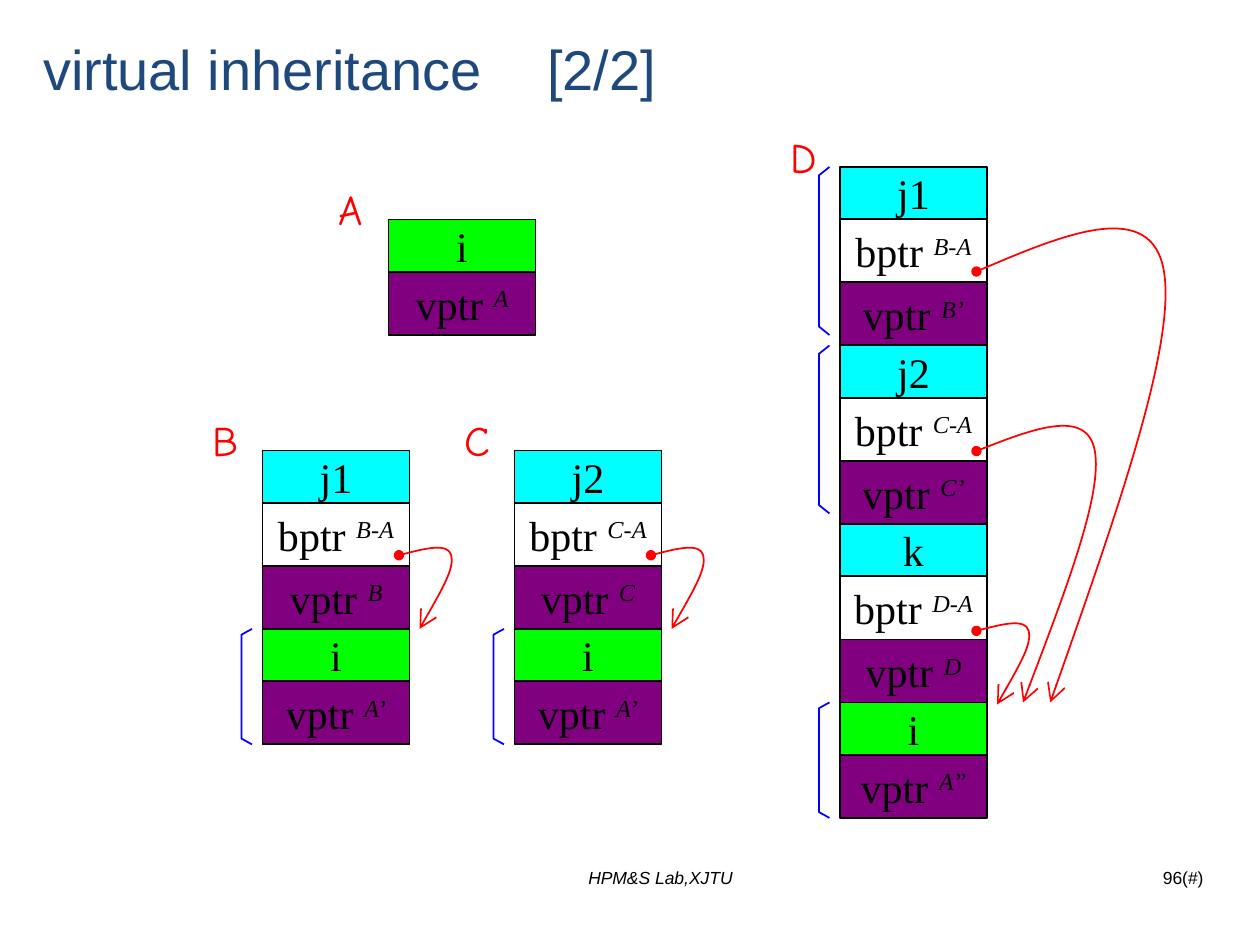
from lxml.etree import SubElement
from pptx import Presentation
from pptx.dml.color import RGBColor
from pptx.enum.shapes import MSO_SHAPE
from pptx.enum.text import MSO_ANCHOR as ANCHOR, MSO_AUTO_SIZE as FIT, PP_ALIGN as ALIGN
from pptx.oxml.ns import qn
from pptx.util import Inches, Pt

BLACK = RGBColor(0, 0, 0)
WHITE = RGBColor(255, 255, 255)
NAVY = RGBColor(0x1F, 0x49, 0x7D)
RED = RGBColor(255, 0, 0)
BLUE = RGBColor(0, 0, 255)
GREEN = RGBColor(0, 255, 0)
CYAN = RGBColor(0, 255, 255)
PURPLE = RGBColor(0x80, 0, 0x80)
FILLS = {"i": GREEN, "j1": CYAN, "j2": CYAN, "k": CYAN, "bptr": WHITE, "vptr": PURPLE}

U = Inches(1) // 12
SHIFT = -0.1
CELL_W = 14
CURVE = [(0, 0.145), (0.44, 0.07), (0.88, 0), (0.94, 0.145), (1, 0.29), (0.69, 0.64), (0.37, 1)]


def write(tf, text, sup="", size=24, font="Times New Roman", color=BLACK,
          align=ALIGN.LEFT, anchor=ANCHOR.TOP, italic=False, wrap=False):
    tf.word_wrap = wrap
    tf.vertical_anchor = anchor
    p = tf.paragraphs[0]
    p.alignment = align
    for part in filter(None, (text, sup)):
        r = p.add_run()
        r.text = part
        r.font.size = Pt(size)
        r.font.name = font
        r.font.color.rgb = color
        r.font.italic = italic or part is sup
        if part is sup:
            r.font._element.set("baseline", "30000")
    return p


def draw_path(shapes, points, color):
    pts = [(int(x * U), int((y + SHIFT) * U)) for x, y in points]
    builder = shapes.build_freeform(*pts[0])
    builder.add_line_segments(pts[1:], close=False)
    sp = builder.convert_to_shape()
    sp.shadow.inherit = False
    sp.fill.background()
    sp.line.color.rgb = color
    sp.line.width = Pt(1)
    return sp


stacks = [
    ("A", 37, 21, ["i", "vptr A"], [], []),
    ("B", 25, 43, ["j1", "bptr B-A", "vptr B", "i", "vptr A’"],
     [(60, 71)], [(51.8, 5.3, 8.2)]),
    ("C", 49, 43, ["j2", "bptr C-A", "vptr C", "i", "vptr A’"],
     [(60, 71)], [(51.8, 5.3, 8.2)]),
    ("D", 80, 16, ["j1", "bptr B-A", "vptr B’", "j2", "bptr C-A", "vptr C’",
                   "k", "bptr D-A", "vptr D", "i", "vptr A’’"],
     [(16, 32), (33, 49), (67, 78)],
     [(19, 19, 48), (39, 12, 28), (59, 5.3, 8.2)]),
]

prs = Presentation()
prs.slide_width, prs.slide_height = 120 * U, 90 * U
slide = prs.slides.add_slide(prs.slide_layouts[5])

title = slide.shapes.title
title.left, title.top, title.width, title.height = [int(n * U) for n in (2.9, 3, 114, 7)]
p = write(title.text_frame, "virtual inheritance\t[2/2]", size=32, font="Arial",
          color=NAVY, anchor=ANCHOR.MIDDLE, wrap=True)
tabs = SubElement(p._p.get_or_add_pPr(), qn("a:tabLst"))
SubElement(tabs, qn("a:tab"), pos=str(Inches(4)), algn="l")

for text, left, width, align, italic in [
    ("HPM&S Lab,XJTU", 40.2, 45.4, ALIGN.CENTER, True),
    ("96(#)", 92.8, 23, ALIGN.RIGHT, False),
]:
    box = slide.shapes.add_textbox(int(left * U), 82 * U, int(width * U), int(6.2 * U))
    write(box.text_frame, text, size=10, font="Arial", align=align, italic=italic, wrap=True)

for name, x, top, cells, brackets, curves in stacks:
    shapes = slide.shapes.add_group_shape().shapes
    label = shapes.add_textbox(int((x - 5.9) * U), int((top - 4 + SHIFT) * U), int(4.8 * U), 6 * U)
    write(label.text_frame, name, font="Comic Neue", color=RED)
    label.text_frame.auto_size = FIT.SHAPE_TO_FIT_TEXT

    y = top
    for cell in cells:
        field, space, owner = cell.partition(" ")
        height = 6 if owner else 5
        sp = shapes.add_shape(MSO_SHAPE.RECTANGLE, x * U, int((y + SHIFT) * U),
                              CELL_W * U, height * U)
        sp.shadow.inherit = False
        sp.fill.solid()
        sp.fill.fore_color.rgb = FILLS[field]
        sp.line.color.rgb = BLACK
        sp.line.width = Pt(1)
        write(sp.text_frame, field + space, owner, align=ALIGN.CENTER, anchor=ANCHOR.MIDDLE)
        y += height

    for start, end in brackets:
        notch = (end - start) / 20
        draw_path(shapes, [(x - 1, start), (x - 2, start + notch),
                           (x - 2, end - notch), (x - 1, end)], BLUE)

    for start, width, height in curves:
        sp = draw_path(shapes, [(x + 13 + fx * width, start + fy * height)
                                for fx, fy in CURVE], RED)
        path = sp._element.find(".//" + qn("a:path"))
        segments = path.findall(qn("a:lnTo"))
        for i in (0, 3):
            bezier = SubElement(path, qn("a:cubicBezTo"))
            for segment in segments[i:i + 3]:
                bezier.append(segment[0])
                path.remove(segment)
        ln = sp._element.spPr.find(qn("a:ln"))
        SubElement(ln, qn("a:headEnd"), type="oval")
        SubElement(ln, qn("a:tailEnd"), type="arrow", w="lg", len="lg")

prs.save("out.pptx")
